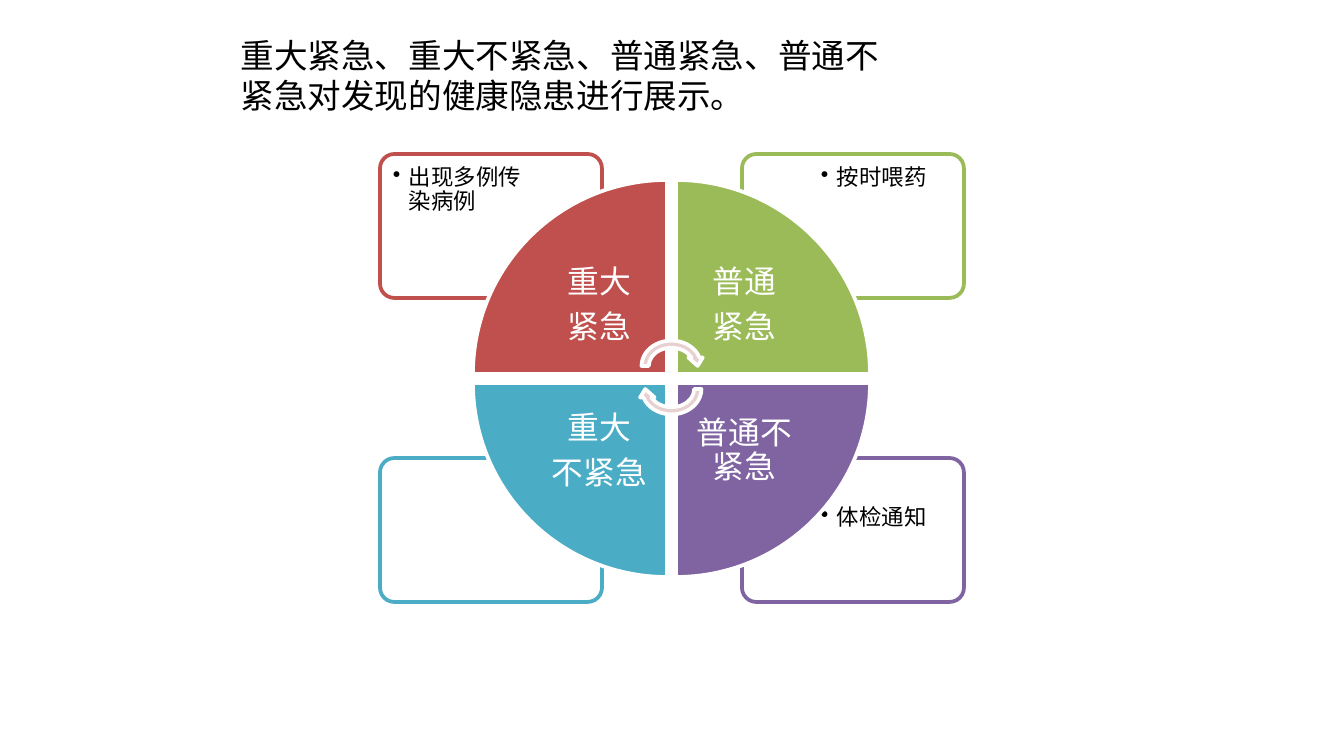
from lxml import etree
from pptx import Presentation
from pptx import util as u
from pptx.dml.color import RGBColor
from pptx.enum import shapes, text
from pptx.oxml.ns import qn

PX = 9144000 / 1344
RED = RGBColor(0xC0, 0x50, 0x4D)
GREEN = RGBColor(0x9B, 0xBB, 0x59)
PURPLE = RGBColor(0x80, 0x64, 0xA2)
TEAL = RGBColor(0x4B, 0xAC, 0xC6)
PINK = RGBColor(0xE8, 0xD0, 0xD0)
WHITE = RGBColor(0xFF, 0xFF, 0xFF)
BLACK = RGBColor(0, 0, 0)

prs = Presentation()
prs.slide_width, prs.slide_height = u.Emu(9144000), u.Emu(round(756 * PX))
s = prs.slides.add_slide(prs.slide_layouts[5])


def add_shape(kind, box, fill, line, rotation=0):
    sp = s.shapes.add_shape(kind, *[round(v * PX) for v in box])
    sp.shadow.inherit = False
    sp.fill.solid()
    sp.fill.fore_color.rgb = fill
    sp.line.color.rgb = line
    sp.line.width = u.Pt(2)
    sp.rotation = rotation
    return sp


def add_text(box, lines, size, color, inset, after, bullet=False):
    tf = s.shapes.add_textbox(*[round(v * PX) for v in box]).text_frame
    tf.word_wrap = True
    tf.margin_left = tf.margin_right = tf.margin_top = tf.margin_bottom = round(inset * PX)
    tf.vertical_anchor = text.MSO_ANCHOR.TOP if bullet else text.MSO_ANCHOR.MIDDLE
    for i, line in enumerate(lines):
        p = tf.paragraphs[0] if i == 0 else tf.add_paragraph()
        p.line_spacing = 0.9
        p.space_after = u.Pt(after)
        if bullet:
            p.level = 1
            pPr = p._p.get_or_add_pPr()
            pPr.set("marL", str(round(16 * PX)))
            pPr.set("indent", str(round(-16 * PX)))
            etree.SubElement(pPr, qn("a:buChar"), char="•")
        else:
            p.alignment = text.PP_ALIGN.CENTER
        r = p.add_run()
        r.text = line
        r.font.name, r.font.size = "Calibri", u.Pt(size)
        r.font.color.rgb = color


# Corner boxes with examples: column, row, colour, example, text position
corners = [
    (1, 1, PURPLE, "体检通知", (812, 497)),
    (0, 1, TEAL, None, None),
    (1, 0, GREEN, "按时喂药", (812, 157)),
    (0, 0, RED, "出现多例传染病例", (384, 157)),
]
for col, row, color, example, place in corners:
    box = (380 + 362 * col, 154 + 304 * row, 222, 144)
    sp = add_shape(shapes.MSO_SHAPE.ROUNDED_RECTANGLE, box, WHITE, color)
    sp.adjustments[0] = 0.1
    srgb = sp._element.spPr.find(qn("a:solidFill")).find(qn("a:srgbClr"))
    etree.SubElement(srgb, qn("a:alpha"), val="90000")
    if example:
        add_text((*place, 149, 101), [example], 12, BLACK, 9, 2, bullet=True)

# Quarter wedges, clockwise from top left
wedges = [
    (0, 0, RED, ["重大", "紧急"]),
    (1, 0, GREEN, ["普通", "紧急"]),
    (1, 1, PURPLE, ["普通不紧急"]),
    (0, 1, TEAL, ["重大", "不紧急"]),
]
for i, (col, row, color, lines) in enumerate(wedges):
    box = (473 + 203 * col, 180 + 203 * row, 194, 194)
    add_shape(shapes.MSO_SHAPE.PIE_WEDGE, box, color, WHITE, 90 * i)
    add_text((531 + 145 * col, 237 + 146 * row, 137, 137), lines, 17, WHITE, 17, 6)

# Rotation arrows in the centre
for top, rotation in ((337, 0), (360, 180)):
    add_shape(shapes.MSO_SHAPE.CIRCULAR_ARROW, (638, top, 67, 58), PINK, WHITE, rotation)

# Title
title = s.shapes.title
title.left, title.top, title.width, title.height = [round(v * PX) for v in (227, 28, 672, 95)]
tf = title.text_frame
tf.word_wrap = True
tf.auto_size = text.MSO_AUTO_SIZE.NONE
tf.vertical_anchor = text.MSO_ANCHOR.TOP
p = tf.paragraphs[0]
p.alignment = text.PP_ALIGN.LEFT
r = p.add_run()
r.text = "重大紧急、重大不紧急、普通紧急、普通不紧急对发现的健康隐患进行展示。"
r.font.name, r.font.size = "Calibri", u.Pt(18)
r.font.color.rgb = BLACK

prs.save("out.pptx")
